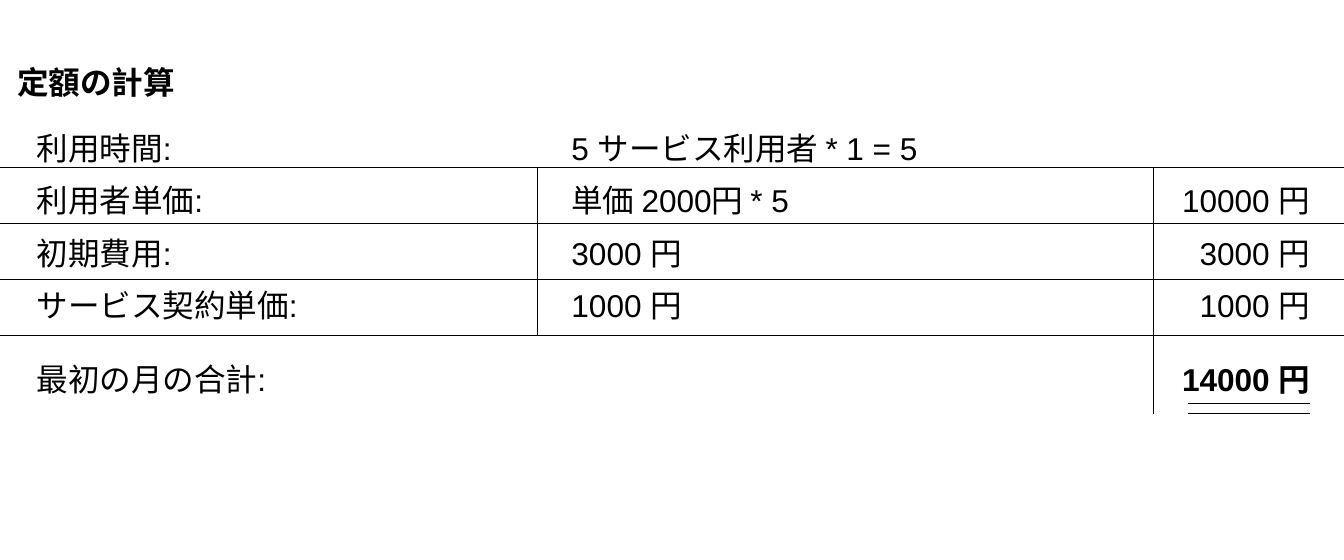
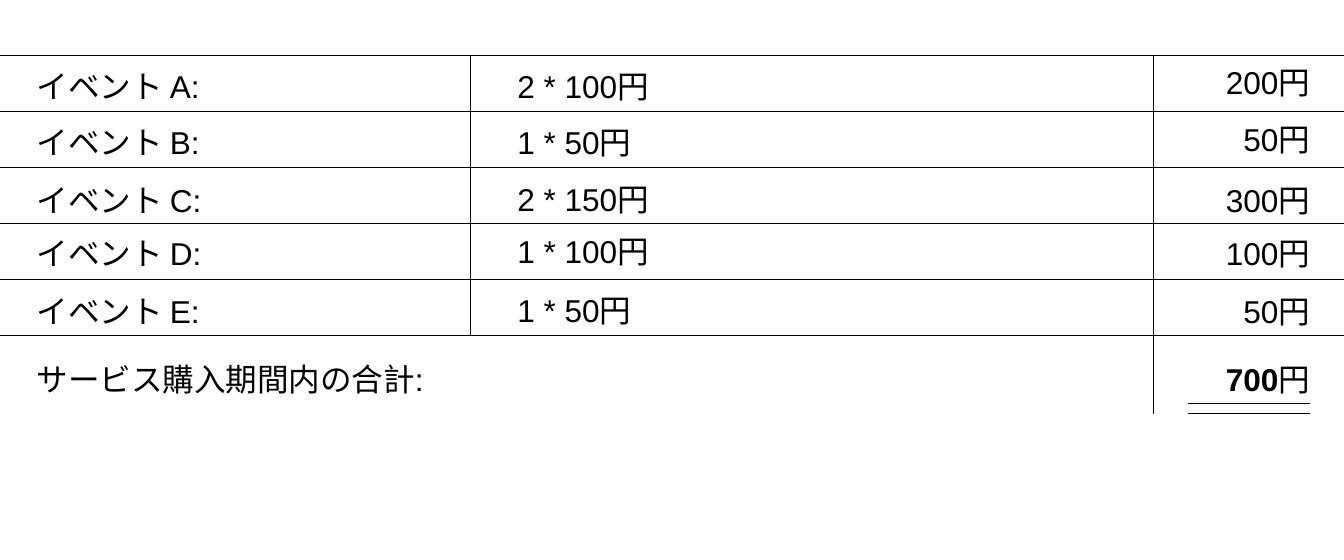
from dataclasses import dataclass

from lxml import etree
from pptx import Presentation
from pptx.dml.color import RGBColor
from pptx.enum.shapes import MSO_CONNECTOR
from pptx.enum.text import MSO_ANCHOR, MSO_AUTO_SIZE, PP_ALIGN
from pptx.oxml.ns import qn
from pptx.util import Inches, Pt

BLACK = RGBColor(0x00, 0x00, 0x00)
FONT = {"name": "Arial", "size": Pt(16)}
FRAME = {
    "word_wrap": True,
    "auto_size": MSO_AUTO_SIZE.NONE,
    "vertical_anchor": MSO_ANCHOR.BOTTOM,
    "margin_left": Inches(0.1),
    "margin_right": Inches(0.1),
    "margin_top": Inches(0.05),
    "margin_bottom": Inches(0.05),
}

SLIDE_WIDTH, SLIDE_HEIGHT = 9.45, 3.94
GRID_BOTTOM = 2.36
ROW_PITCH = 0.39375
AMOUNT_RULE_X = 8.11
TOTAL_LEFT, TOTAL_RIGHT = 8.35, 9.21
TOTAL_RULES = (2.84, 2.91)
TOTAL_TOP = 2.4
LOW, TALL = 0.37, 0.45


@dataclass
class Column:
    left: float
    width: float
    align: PP_ALIGN = PP_ALIGN.LEFT


LABEL = Column(0.16, 3.76)
FEE_DETAIL = Column(3.92, 3.96)
EVENT_DETAIL = Column(3.54, 3.76)
AMOUNT = Column(7.88, 1.43, PP_ALIGN.RIGHT)


def fill_text(shape, runs, align):
    """Write (text, bold) runs as one paragraph in the shared style."""
    frame = shape.text_frame
    for name, value in FRAME.items():
        setattr(frame, name, value)
    paragraph = frame.paragraphs[0]
    paragraph.alignment = align
    for text, bold in runs:
        run = paragraph.add_run()
        run.text = text
        for name, value in FONT.items():
            setattr(run.font, name, value)
        run.font.bold = bold
        run.font.color.rgb = BLACK


def add_cell(slide, column, top, height, *runs):
    shape = slide.shapes.add_textbox(
        Inches(column.left), Inches(top), Inches(column.width), Inches(height))
    fill_text(shape, runs, column.align)


def add_rule(slide, x1, y1, x2, y2):
    rule = slide.shapes.add_connector(
        MSO_CONNECTOR.STRAIGHT, Inches(x1), Inches(y1), Inches(x2), Inches(y2))
    rule.line.color.rgb = BLACK
    rule.line.width = Pt(0.75)
    etree.SubElement(rule.element.spPr, qn("a:effectLst"))


def add_grid(slide, row_count, detail_rule_x):
    """Draw the row and column rules up from the grid bottom, and the total's double rule."""
    top = GRID_BOTTOM - row_count * ROW_PITCH
    for index in range(row_count + 1):
        y = top + index * ROW_PITCH
        add_rule(slide, 0, y, SLIDE_WIDTH, y)
    add_rule(slide, detail_rule_x, top, detail_rule_x, GRID_BOTTOM)
    add_rule(slide, AMOUNT_RULE_X, top, AMOUNT_RULE_X, TOTAL_RULES[-1])
    for y in TOTAL_RULES:
        add_rule(slide, TOTAL_LEFT, y, TOTAL_RIGHT, y)


def add_total(slide, label, *amount_runs):
    add_cell(slide, LABEL, TOTAL_TOP, TALL, (label, False))
    add_cell(slide, AMOUNT, TOTAL_TOP, TALL, *amount_runs)


def add_title(slide, text):
    title = slide.shapes.title
    title.left, title.top = Inches(0.02), Inches(0.31)
    title.width, title.height = Inches(3.76), Inches(TALL)
    fill_text(title, [(text, True)], PP_ALIGN.LEFT)


def build_fee_slide(presentation):
    slide = presentation.slides.add_slide(presentation.slide_layouts[5])
    add_title(slide, "定額の計算")
    add_grid(slide, 3, 3.78)
    add_cell(slide, LABEL, 0.77, TALL, ("利用時間:", False))
    add_cell(slide, FEE_DETAIL, 0.77, TALL, ("5 サービス利用者 * 1 = 5", False))
    fees = [
        ("利用者単価:", "単価 2000円 * 5", "10000 円"),
        ("初期費用:", "3000 円", "3000 円"),
        ("サービス契約単価:", "1000 円", "1000 円"),
    ]
    for index, texts in enumerate(fees):
        top = 1.22 + index * LOW
        for column, text in zip((LABEL, FEE_DETAIL, AMOUNT), texts):
            add_cell(slide, column, top, LOW, (text, False))
    add_total(slide, "最初の月の合計:", ("14000 円", True))


def build_event_slide(presentation):
    slide = presentation.slides.add_slide(presentation.slide_layouts[6])
    add_grid(slide, 5, 3.31)
    # Each cell gives its text, top and height.
    events = [
        (("イベント A:", 0.34, TALL), ("2 * 100円", 0.34, TALL), ("200円", 0.39, LOW)),
        (("イベント B:", 0.73, TALL), ("1 * 50円", 0.73, TALL), ("50円", 0.79, LOW)),
        (("イベント C:", 1.22, LOW), ("2 * 150円", 1.13, TALL), ("300円", 1.22, LOW)),
        (("イベント D:", 1.59, LOW), ("1 * 100円", 1.5, TALL), ("100円", 1.59, LOW)),
        (("イベント E:", 2, LOW), ("1 * 50円", 1.91, TALL), ("50円", 2, LOW)),
    ]
    for cells in events:
        for column, (text, top, height) in zip((LABEL, EVENT_DETAIL, AMOUNT), cells):
            add_cell(slide, column, top, height, (text, False))
    add_total(slide, "サービス購入期間内の合計:", ("700", True), ("円", False))


def main():
    presentation = Presentation()
    presentation.slide_width = Inches(SLIDE_WIDTH)
    presentation.slide_height = Inches(SLIDE_HEIGHT)
    build_fee_slide(presentation)
    build_event_slide(presentation)
    presentation.save("out.pptx")


if __name__ == "__main__":
    main()
